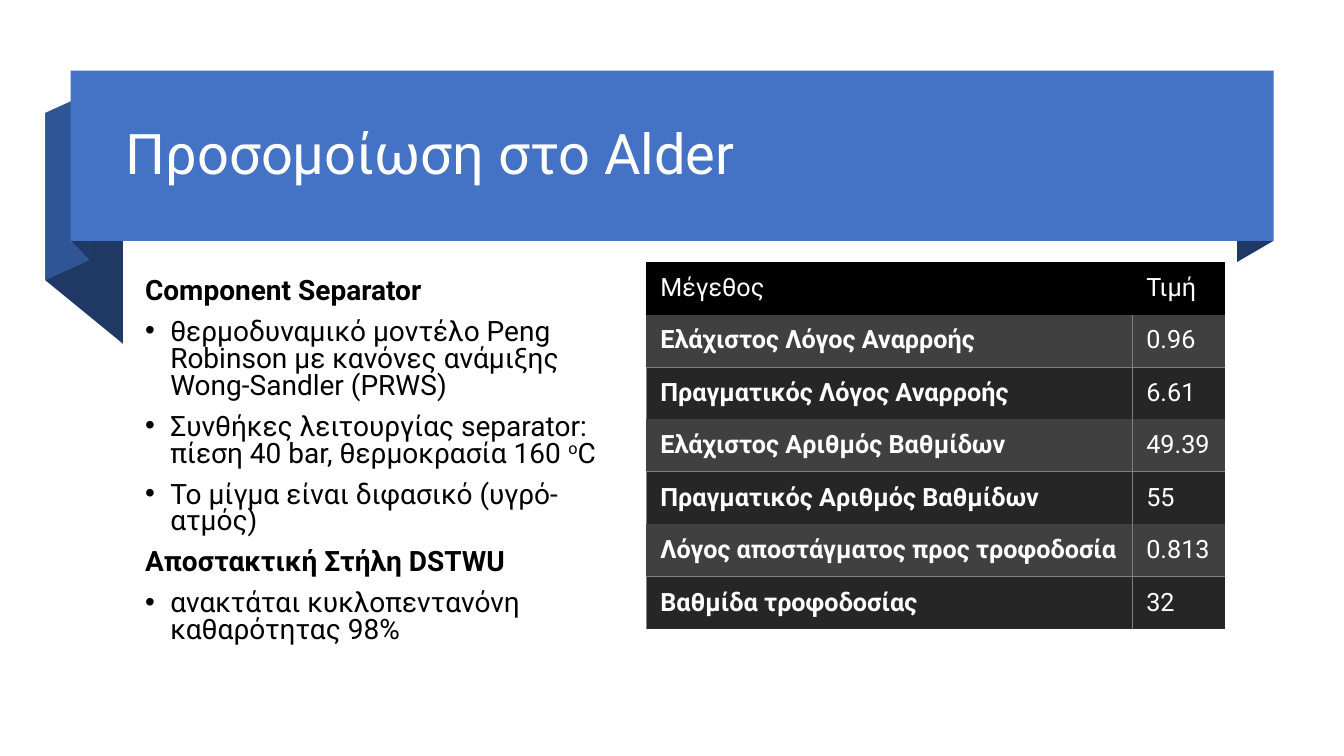
from dataclasses import dataclass

from lxml import etree
from pptx import Presentation
from pptx import util as u
from pptx.dml.color import RGBColor
from pptx.enum import shapes, text
from pptx.oxml import ns

TITLE = "Προσομοίωση στο Alder"

# (is a heading, [(text, is superscript)])
BODY = [
    (True, [("Component Separator", False)]),
    (False, [("θερμοδυναμικό μοντέλο Peng Robinson με κανόνες ανάμιξης "
              "Wong-Sandler (PRWS)", False)]),
    (False, [("Συνθήκες λειτουργίας separator: πίεση 40 bar, θερμοκρασία 160 ", False),
             ("o", True), ("C", False)]),
    (False, [("Το μίγμα είναι διφασικό (υγρό-ατμός)", False)]),
    (True, [("Αποστακτική Στήλη DSTWU", False)]),
    (False, [("ανακτάται κυκλοπεντανόνη καθαρότητας 98%", False)]),
]

RESULTS = [
    ("Μέγεθος", "Τιμή"),
    ("Ελάχιστος Λόγος Αναρροής", "0.96"),
    ("Πραγματικός Λόγος Αναρροής", "6.61"),
    ("Ελάχιστος Αριθμός Βαθμίδων", "49.39"),
    ("Πραγματικός Αριθμός Βαθμίδων", "55"),
    ("Λόγος αποστάγματος προς τροφοδοσία", "0.813"),
    ("Βαθμίδα τροφοδοσίας", "32"),
]


@dataclass(frozen=True)
class Theme:
    font: str = "Roboto"
    title_size: int = 40
    body_size: int = 20
    table_size: int = 18
    banner: str = "4472C4"
    fold: str = "2F5597"
    shade: str = "203864"
    ink: str = "000000"
    paper: str = "FFFFFF"
    header: str = "000000"
    light_row: str = "404040"
    dark_row: str = "262626"
    rule: str = "808080"


T = Theme()
WIDTH, HEIGHT = 13.33, 7.5
BANNER = (0.7, 0.7, 11.93, 1.69)
TITLE_BOX = (1.15, 0.83, 11.27, 1.45)
BODY_BOX = (1.34, 2.72, 4.85, 3.94)
TABLE_AT = (6.41, 2.6)
COLUMNS = (4.82, 0.92)
ROW = 0.52
INDENT = 0.25
CELL_MARGINS = (0.14, 0.11, 0.03, 0.11)
NO_STYLE = "{2D5ABB26-0587-4C30-8999-92F81FD0307C}"

# left x, right x, top of left edge, top of right edge, drop, colour
FOLDS = [
    (12.27, 12.63, 0.91, 0.7, 1.69, T.shade),
    (0.45, 1.22, 1.12, 1.75, 1.66, T.shade),
    (0.45, 0.89, 1.12, 0.92, 1.66, T.fold),
    (0.71, 0.89, 0.7, 0.89, 1.69, T.shade),
]


def inches(values):
    return [u.Inches(v) for v in values]


def paint(s, color):
    s.shadow.inherit = False
    s.fill.solid()
    s.fill.fore_color.rgb = RGBColor.from_string(color)
    s.line.fill.background()


def add_run(p, words, size, color, bold=False, raised=False):
    r = p.add_run()
    r.text = words
    r.font.name = T.font
    r.font.size = u.Pt(size)
    r.font.bold = bold
    r.font.color.rgb = RGBColor.from_string(color)
    if raised:
        r.font._element.set("baseline", "30000")


def add_text_frame(slide, box):
    tf = slide.shapes.add_textbox(*inches(box)).text_frame
    tf.word_wrap = True
    return tf


def add_bullet(p):
    pPr = p._p.get_or_add_pPr()
    pPr.set("marL", str(u.Inches(INDENT)))
    pPr.set("indent", str(-u.Inches(INDENT)))
    font = etree.SubElement(pPr, ns.qn("a:buFont"))
    font.set("typeface", "Arial")
    etree.SubElement(pPr, ns.qn("a:buChar")).set("char", "•")


def add_borders(cell, sides):
    """Rule the named sides (of L, R, T, B) and clear the others."""
    tcPr = cell._tc.get_or_add_tcPr()
    for side in "LRTB":
        ln = etree.SubElement(tcPr, ns.qn("a:ln" + side))
        if side in sides:
            ln.set("w", str(u.Pt(0.5)))
            fill = etree.SubElement(ln, ns.qn("a:solidFill"))
            etree.SubElement(fill, ns.qn("a:srgbClr")).set("val", T.rule)
        else:
            etree.SubElement(ln, ns.qn("a:noFill"))


def add_ribbon(slide):
    for left, right, top_l, top_r, drop, color in FOLDS:
        corners = [inches(corner) for corner in (
            (left, top_l), (right, top_r), (right, top_r + drop), (left, top_l + drop))]
        outline = slide.shapes.build_freeform(*corners[0])
        outline.add_line_segments(corners[1:], close=True)
        paint(outline.convert_to_shape(), color)
    paint(slide.shapes.add_shape(shapes.MSO_SHAPE.RECTANGLE, *inches(BANNER)), T.banner)


def add_title(slide):
    tf = add_text_frame(slide, TITLE_BOX)
    tf.vertical_anchor = text.MSO_ANCHOR.MIDDLE
    p = tf.paragraphs[0]
    p.line_spacing = 0.9
    add_run(p, TITLE, T.title_size, T.paper)


def add_body(slide):
    tf = add_text_frame(slide, BODY_BOX)
    for i, (heading, runs) in enumerate(BODY):
        p = tf.add_paragraph() if i else tf.paragraphs[0]
        if not heading:
            add_bullet(p)
        p.line_spacing = 0.8
        p.space_before = u.Pt(10 if i else 0)
        for words, raised in runs:
            add_run(p, words, T.body_size, T.ink, heading, raised)


def cell_sides(row, col):
    """Body rows pair up: light over dark, with a rule inside each pair."""
    if row == 0:
        return ""
    across = "B" if row % 2 else "T"
    if col == 1:
        return "L" + across
    return "R" + across if row % 2 else "LR" + across


def add_results(slide):
    size = (sum(COLUMNS), ROW * len(RESULTS))
    table = slide.shapes.add_table(
        len(RESULTS), len(COLUMNS), *inches(TABLE_AT + size)).table
    table.horz_banding = table.first_row = False
    table._tbl.tblPr.find(ns.qn("a:tableStyleId")).text = NO_STYLE
    for column, width in zip(table.columns, COLUMNS):
        column.width = u.Inches(width)
    for i, values in enumerate(RESULTS):
        table.rows[i].height = u.Inches(ROW)
        color = T.header if i == 0 else T.light_row if i % 2 else T.dark_row
        for j, value in enumerate(values):
            cell = table.cell(i, j)
            add_borders(cell, cell_sides(i, j))
            cell.fill.solid()
            cell.fill.fore_color.rgb = RGBColor.from_string(color)
            (cell.margin_left, cell.margin_top,
             cell.margin_right, cell.margin_bottom) = inches(CELL_MARGINS)
            if i == 0:
                cell.vertical_anchor = text.MSO_ANCHOR.MIDDLE
            add_run(cell.text_frame.paragraphs[0], value, T.table_size, T.paper,
                    bold=i > 0 and j == 0)


def main():
    prs = Presentation()
    prs.slide_width, prs.slide_height = inches((WIDTH, HEIGHT))
    slide = prs.slides.add_slide(prs.slide_layouts[6])
    add_ribbon(slide)
    add_title(slide)
    add_body(slide)
    add_results(slide)
    prs.save("out.pptx")


if __name__ == "__main__":
    main()
